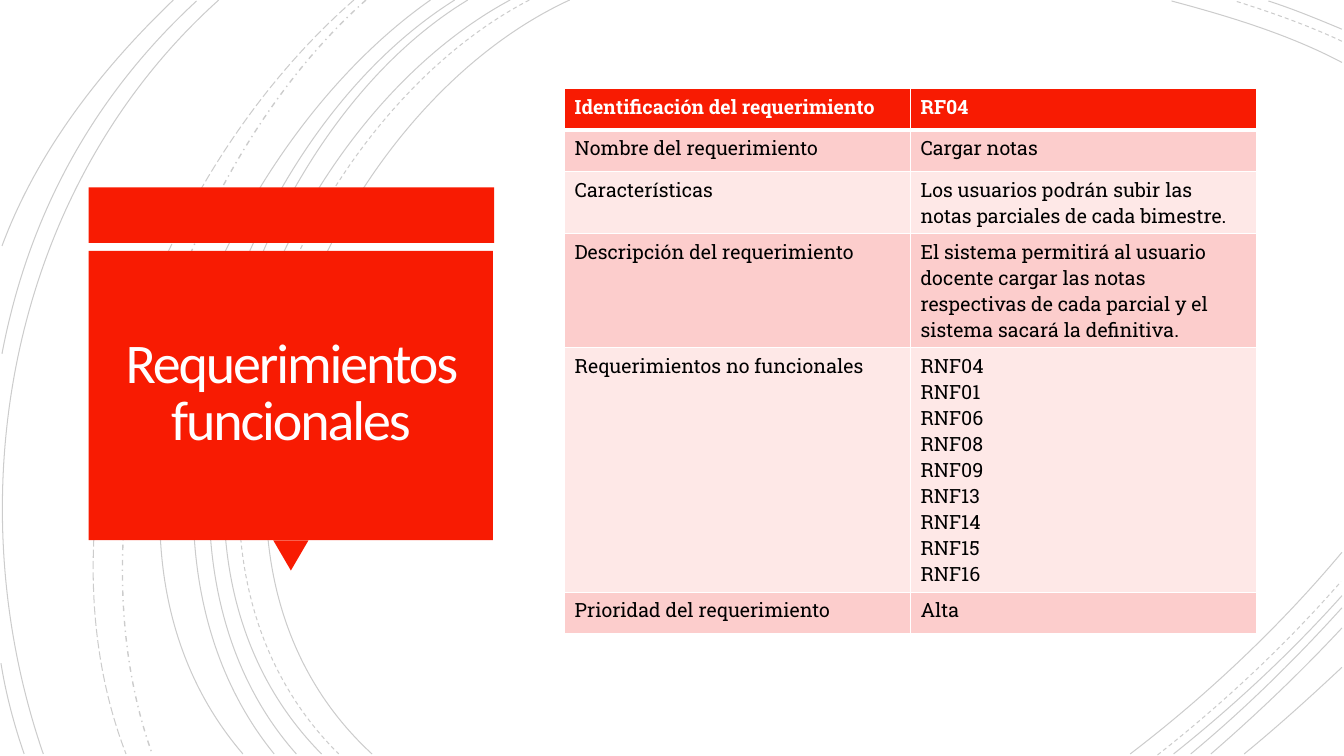
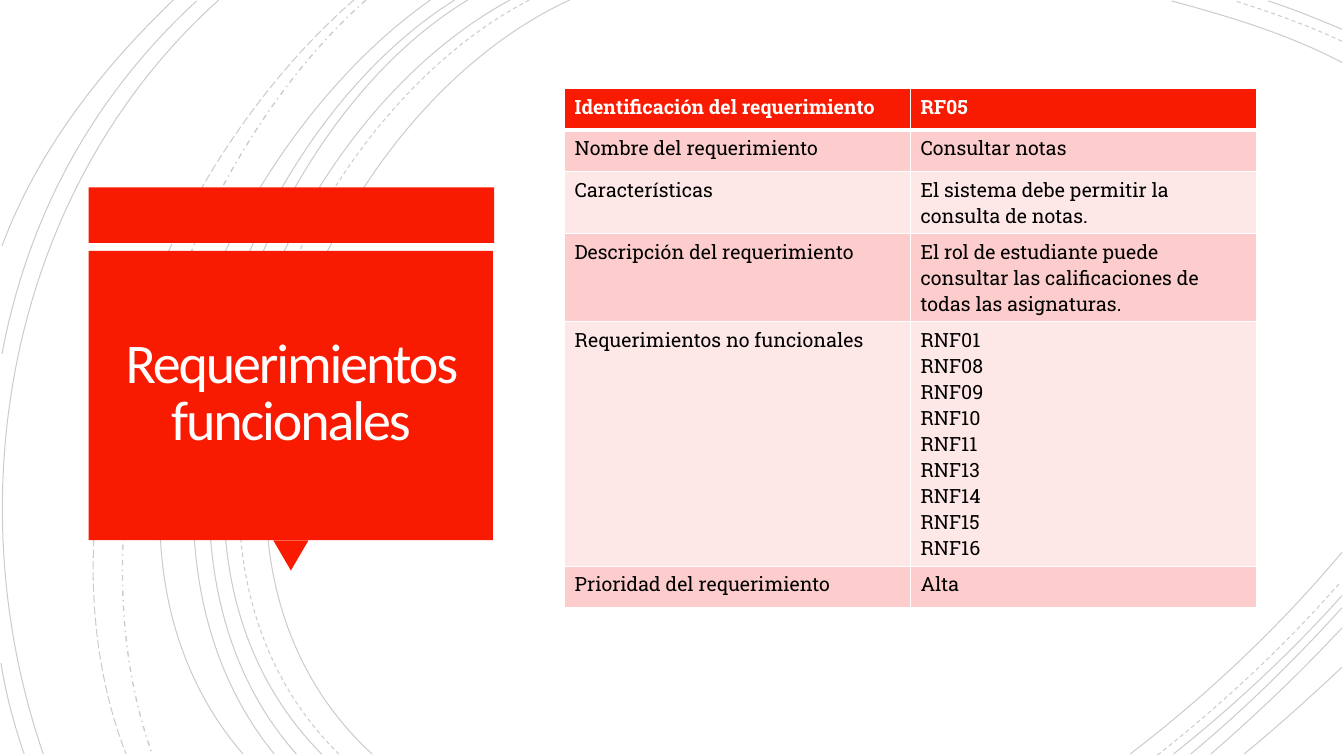
from lxml import etree
from pptx import Presentation
from pptx import util as u
from pptx.dml.color import RGBColor
from pptx.enum import dml, shapes, text
from pptx.oxml.ns import qn

COLORS = {
    "accent": "F81B02",
    "band_dark": "FCCDCC",
    "band_light": "FEE8E7",
    "title": "FFFEFF",
    "white": "FFFFFF",
    "black": "000000",
}
TITLE_FONT, TABLE_FONT = "Calibri", "Roboto Slab"
LINE_ALPHA = 20  # percent

# Background arcs: start, two control points, end (inches)
SOLID_ARCS = [
    ((5.65, 0), (3.15, 1.15), (1.43, 5.4), (3.69, 7.48)),
    ((13.31, 0.62), (12.78, 0.34), (12.18, 0.16), (11.62, 0.01)),
    ((11.21, 7.48), (11.97, 6.9), (12.69, 6.22), (13.31, 5.48)),
    ((5.06, 0), (2.7, 1.27), (1.1, 5.37), (3.19, 7.48)),
    ((13.31, 0.29), (13.07, 0.19), (12.83, 0.09), (12.58, 0.01)),
    ((11.64, 7.48), (12.23, 7.01), (12.8, 6.48), (13.31, 5.91)),
    ((4.64, 0), (2.44, 1.33), (1.1, 5.41), (2.94, 7.48)),
    ((11.81, 7.48), (12.34, 7.04), (12.84, 6.55), (13.31, 6.03)),
    ((4.51, 0), (2.31, 1.38), (0.97, 5.33), (2.72, 7.48)),
    ((12.01, 7.48), (12.46, 7.09), (12.9, 6.67), (13.31, 6.23)),
    ((4.27, 0), (2.17, 1.47), (0.53, 5.29), (2.41, 7.48)),
    ((12.34, 7.48), (12.67, 7.21), (12.99, 6.92), (13.31, 6.62)),
    ((2.17, 0), (0.11, 1.85), (-0.46, 4.9), (0.43, 7.48)),
    ((1.95, 0.01), (0.92, 0.96), (0.28, 2.14), (0.02, 3.51)),
    ((0.01, 6.58), (0.06, 6.89), (0.14, 7.19), (0.24, 7.48)),
    ((1.72, 0), (1, 0.69), (0.37, 1.5), (0.02, 2.44)),
]
DASHED_ARCS = [
    ((5.25, 0), (2.85, 1.25), (1.23, 5.37), (3.36, 7.48)),
    ((13.31, 0.41), (12.97, 0.25), (12.6, 0.12), (12.25, 0.01)),
    ((11.48, 7.49), (12.13, 6.98), (12.75, 6.4), (13.3, 5.77)),
]
DASH_DOT_ARC = ((3.63, 0), (1.76, 1.66), (0.65, 5.09), (1.51, 7.48))
LONG_DASH_ARC = ((3.51, 0), (1.57, 1.69), (0.29, 4.99), (1.25, 7.48))

# Requirement sheets
TITLE = "Requerimientos funcionales"
LABELS = [
    "Identificación del requerimiento",
    "Nombre del requerimiento",
    "Características",
    "Descripción del requerimiento",
    "Requerimientos no funcionales",
    "Prioridad del requerimiento",
]
REQUIREMENTS = [
    ["RF04", "Cargar notas",
     "Los usuarios podrán subir las notas parciales de cada bimestre.",
     "El sistema permitirá al usuario docente cargar las notas respectivas "
     "de cada parcial y el sistema sacará la definitiva.",
     "RNF04\nRNF01\nRNF06\nRNF08\nRNF09\nRNF13\nRNF14\nRNF15\nRNF16",
     "Alta"],
    ["RF05", "Consultar notas",
     "El sistema debe permitir la consulta de notas.",
     "El rol de estudiante puede consultar las calificaciones de todas las "
     "asignaturas.",
     "RNF01\nRNF08\nRNF09\nRNF10\nRNF11\nRNF13\nRNF14\nRNF15\nRNF16",
     "Alta"],
]


def rgb(name):
    return RGBColor.from_string(COLORS[name])


class SlideBuilder:
    """Holds the shared style and the slide being built."""

    def __init__(self, deck):
        self.deck = deck
        self.slide = None

    def new_slide(self):
        self.slide = self.deck.slides.add_slide(self.deck.slide_layouts[5])
        self.background()
        self.title_panel()

    def arc(self, group, points, dash=None, width=0.75):
        start, *rest = [(u.Inches(x), u.Inches(y)) for x, y in points]
        builder = group.shapes.build_freeform(*start)
        builder.add_line_segments(rest, close=False)
        arc = builder.convert_to_shape()
        # Turn the three segments into one cubic curve
        outline = arc.element.find(".//" + qn("a:path"))
        curve = etree.SubElement(outline, qn("a:cubicBezTo"))
        for segment in outline.findall(qn("a:lnTo")):
            curve.append(segment[0])
            outline.remove(segment)
        arc.shadow.inherit = False
        arc.fill.background()
        arc.line.width = u.Pt(width)
        arc.line.color.rgb = rgb("black")
        if dash:
            arc.line.dash_style = dash
        color = arc.element.find(".//" + qn("a:ln")).find(".//" + qn("a:srgbClr"))
        etree.SubElement(color, qn("a:alpha"), val=str(LINE_ALPHA * 1000))

    def background(self):
        group = self.slide.shapes.add_group_shape()
        for points in SOLID_ARCS:
            self.arc(group, points)
        for points in DASHED_ARCS:
            self.arc(group, points, dml.MSO_LINE.DASH)
        self.arc(group, DASH_DOT_ARC, dml.MSO_LINE.DASH_DOT, 1)
        self.arc(group, LONG_DASH_ARC, dml.MSO_LINE.LONG_DASH)

    def block(self, group, kind, left, top, width, height, rotation=0):
        block = group.shapes.add_shape(
            kind, u.Inches(left), u.Inches(top), u.Inches(width), u.Inches(height))
        block.rotation = rotation
        block.shadow.inherit = False
        block.fill.solid()
        block.fill.fore_color.rgb = rgb("accent")
        block.line.fill.background()

    def title_panel(self):
        kinds = shapes.MSO_SHAPE
        group = self.slide.shapes.add_group_shape()
        self.block(group, kinds.RECTANGLE, 0.88, 1.86, 4.02, 0.55)
        self.block(group, kinds.ISOSCELES_TRIANGLE, 2.71, 5.36, 0.35, 0.3, 180)
        self.block(group, kinds.RECTANGLE, 0.88, 2.49, 4.01, 2.87)

    def title(self, words):
        box = self.slide.shapes.title
        self.slide.shapes.element.append(box.element)  # bring to front
        box.left, box.top = u.Inches(0.97), u.Inches(2.57)
        box.width, box.height = u.Inches(3.83), u.Inches(2.69)
        frame = box.text_frame
        frame.word_wrap = True
        frame.auto_size = text.MSO_AUTO_SIZE.NONE
        frame.vertical_anchor = text.MSO_ANCHOR.MIDDLE
        frame.margin_left = frame.margin_right = u.Inches(0.25)
        frame.margin_top = frame.margin_bottom = u.Inches(0.25)
        para = frame.paragraphs[0]
        para.alignment = text.PP_ALIGN.CENTER
        para.line_spacing = 0.85
        span = self.add_span(para, words, TITLE_FONT, 40, "title")
        span.font._element.set("spc", "-150")

    def add_span(self, para, words, font, size, color, bold=False):
        span = para.add_run()
        span.text = words
        span.font.name = font
        span.font.size = u.Pt(size)
        span.font.bold = bold
        span.font.color.rgb = rgb(color)
        return span

    def cell_borders(self, cell, row):
        # The rule under the header is thicker
        widths = {"lnL": 1, "lnR": 1, "lnT": 3 if row == 1 else 1,
                  "lnB": 3 if row == 0 else 1}
        properties = cell._tc.get_or_add_tcPr()
        for side, width in widths.items():
            line = etree.SubElement(properties, qn("a:" + side), w=str(u.Pt(width)))
            fill = etree.SubElement(line, qn("a:solidFill"))
            etree.SubElement(fill, qn("a:srgbClr"), val=COLORS["white"])

    def cell(self, cell, row, words):
        header = row == 0
        self.cell_borders(cell, row)
        cell.fill.solid()
        band = "band_dark" if row % 2 else "band_light"
        cell.fill.fore_color.rgb = rgb("accent" if header else band)
        for index, line in enumerate(words.split("\n")):
            frame = cell.text_frame
            para = frame.add_paragraph() if index else frame.paragraphs[0]
            self.add_span(para, line, TABLE_FONT, 14,
                          "white" if header else "black", header)

    def requirement_table(self, values):
        row_height = u.Inches(0.41)
        table = self.slide.shapes.add_table(
            len(LABELS), 2, u.Inches(5.6), u.Inches(0.88),
            u.Inches(6.86), row_height * len(LABELS)).table
        table.horz_banding = False
        for row, pair in enumerate(zip(LABELS, values)):
            table.rows[row].height = row_height
            for column, words in enumerate(pair):
                self.cell(table.cell(row, column), row, words)


def main():
    deck = Presentation()
    deck.slide_width, deck.slide_height = u.Inches(13.33), u.Inches(7.5)
    builder = SlideBuilder(deck)
    for values in REQUIREMENTS:
        builder.new_slide()
        builder.title(TITLE)
        builder.requirement_table(values)
    deck.save("out.pptx")


if __name__ == "__main__":
    main()
